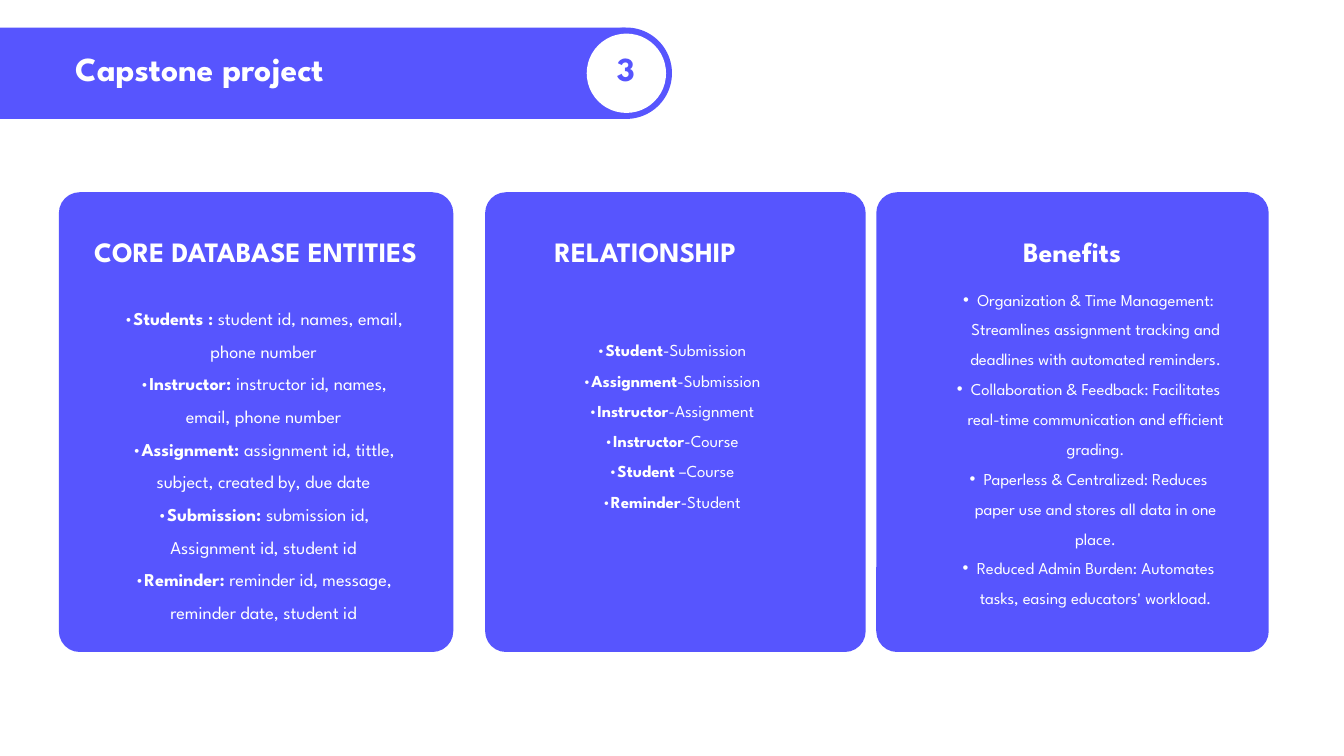
from dataclasses import dataclass

from lxml import etree
from pptx import Presentation
from pptx.dml.color import RGBColor
from pptx.enum.shapes import MSO_SHAPE
from pptx.enum.text import MSO_ANCHOR, MSO_AUTO_SIZE, PP_ALIGN
from pptx.oxml.ns import qn
from pptx.util import Pt

RECT, OVAL, ROUNDED = MSO_SHAPE.RECTANGLE, MSO_SHAPE.OVAL, MSO_SHAPE.ROUNDED_RECTANGLE
LEFT, CENTER = PP_ALIGN.LEFT, PP_ALIGN.CENTER
TOP, GROW = MSO_ANCHOR.TOP, MSO_AUTO_SIZE.SHAPE_TO_FIT_TEXT


@dataclass(frozen=True)
class Theme:
    font: str = "League Spartan"
    accent: RGBColor = RGBColor(0x57, 0x55, 0xFE)
    white: RGBColor = RGBColor(0xFF, 0xFF, 0xFF)
    title: float = 36
    heading: float = 30
    entities: float = 19.4
    relations: float = 18
    benefits: float = 17.8


THEME = Theme()
CARD_TOP, CARD_HEIGHT, CARD_RADIUS = 206, 492.6, 22.3
CARDS = [(63.1, 422.6), (519.8, 407.7), (938.9, 420.5)]  # left, width
HEADINGS = [
    ("CORE DATABASE ENTITIES", 22.3, 503.3),
    ("RELATIONSHIP", 534.2, 314.6),
    ("Benefits", 991.4, 314.6),
]
ENTITIES = [
    ("Students :", " student id, names, email, phone number"),
    ("Instructor: ", "instructor id, names, email, phone number"),
    ("Assignment:", " assignment id, tittle, subject, created by, due date"),
    ("Submission: ", "submission id, Assignment id, student id"),
    ("Reminder:", " reminder id, message, reminder date, student id"),
]
RELATIONS = [
    ("Student", "-Submission"),
    ("Assignment", "-Submission"),
    ("Instructor", "-Assignment"),
    ("Instructor", "-Course"),
    ("Student", " –Course"),
    ("Reminder", "-Student"),
]
BENEFITS = [
    "Organization & Time Management: Streamlines assignment tracking and "
    "deadlines with automated reminders.",
    "Collaboration & Feedback: Facilitates real-time communication and "
    "efficient grading.",
    "Paperless & Centralized: Reduces paper use and stores all data in one place.",
    "Reduced Admin Burden: Automates tasks, easing educators' workload.",
]


def add_panel(s, kind, left, top, width, height, color=THEME.accent):
    sp = s.shapes.add_shape(kind, Pt(left), Pt(top), Pt(width), Pt(height))
    sp.shadow.inherit = False
    sp.fill.solid()
    sp.fill.fore_color.rgb = color
    sp.line.fill.background()
    return sp


def add_bullet(p):
    """Give the paragraph a real bullet with a hanging indent."""
    p.level = 1
    pPr = p._p.get_or_add_pPr()
    pPr.set("marL", str(Pt(30.2)))
    pPr.set("indent", str(-Pt(15.1)))
    etree.SubElement(pPr, qn("a:buFont"), typeface="Arial")
    etree.SubElement(pPr, qn("a:buChar"), char="•")


def write(sp, paragraphs, *, size, spacing, color=THEME.white, align=CENTER,
          bullet=False):
    """Fill a shape; each paragraph is a list of (text, bold) runs."""
    tf = sp.text_frame
    tf.word_wrap = True
    tf.auto_size = GROW
    tf.vertical_anchor = TOP
    tf.margin_left = tf.margin_right = tf.margin_top = tf.margin_bottom = 0
    for i, runs in enumerate(paragraphs):
        p = tf.add_paragraph() if i else tf.paragraphs[0]
        p.alignment = align
        p.line_spacing = Pt(spacing)
        p.space_before = p.space_after = Pt(0)
        if bullet:
            add_bullet(p)
        for text, bold in runs:
            r = p.add_run()
            r.text = text
            r.font.name = THEME.font
            r.font.size = Pt(size)
            r.font.bold = bold
            r.font.color.rgb = color


def add_text(s, left, top, width, height, paragraphs, **fmt):
    box = s.shapes.add_textbox(Pt(left), Pt(top), Pt(width), Pt(height))
    write(box, paragraphs, **fmt)


def labelled(pairs):
    """Turn (label, detail) pairs into paragraphs with a bold label."""
    return [[("•", False), (label, True), (detail, False)] for label, detail in pairs]


def add_header(s):
    add_panel(s, RECT, 0, 29.5, 670.3, 97.9)
    add_panel(s, OVAL, 622.1, 29.5, 97.9, 97.9)
    add_panel(s, OVAL, 628.6, 36, 85, 85, THEME.white)

    title = s.shapes.title
    s.shapes._spTree.append(title._element)  # bring in front of the banner
    title.left, title.top, title.width, title.height = Pt(80.6), Pt(51.1), Pt(502), Pt(49)
    write(title, [[("Capstone project", True)]], size=THEME.title, spacing=43.2,
          align=LEFT)
    add_text(s, 650.2, 51.1, 41, 49, [[("3", True)]], size=THEME.title,
             spacing=43.2, color=THEME.accent)


def add_cards(s):
    for left, width in CARDS:
        card = add_panel(s, ROUNDED, left, CARD_TOP, width, CARD_HEIGHT)
        card.adjustments[0] = CARD_RADIUS / min(width, CARD_HEIGHT)
    for text, left, width in HEADINGS:
        add_text(s, left, 251.3, width, 41, [[(text, True)]], size=THEME.heading,
                 spacing=36)


def main():
    prs = Presentation()
    prs.slide_width, prs.slide_height = Pt(1440), Pt(810)
    s = prs.slides.add_slide(prs.slide_layouts.get_by_name("Title Only"))
    add_header(s)
    add_cards(s)
    add_text(s, 123.8, 317.5, 317.5, 388.8, labelled(ENTITIES),
             size=THEME.entities, spacing=35)
    add_text(s, 562.3, 353.5, 314.6, 226, labelled(RELATIONS),
             size=THEME.relations, spacing=32.4)
    add_text(s, 1005.1, 299.5, 307.4, 415.4, [[(text, False)] for text in BENEFITS],
             size=THEME.benefits, spacing=32, bullet=True)
    prs.save("out.pptx")


if __name__ == "__main__":
    main()
